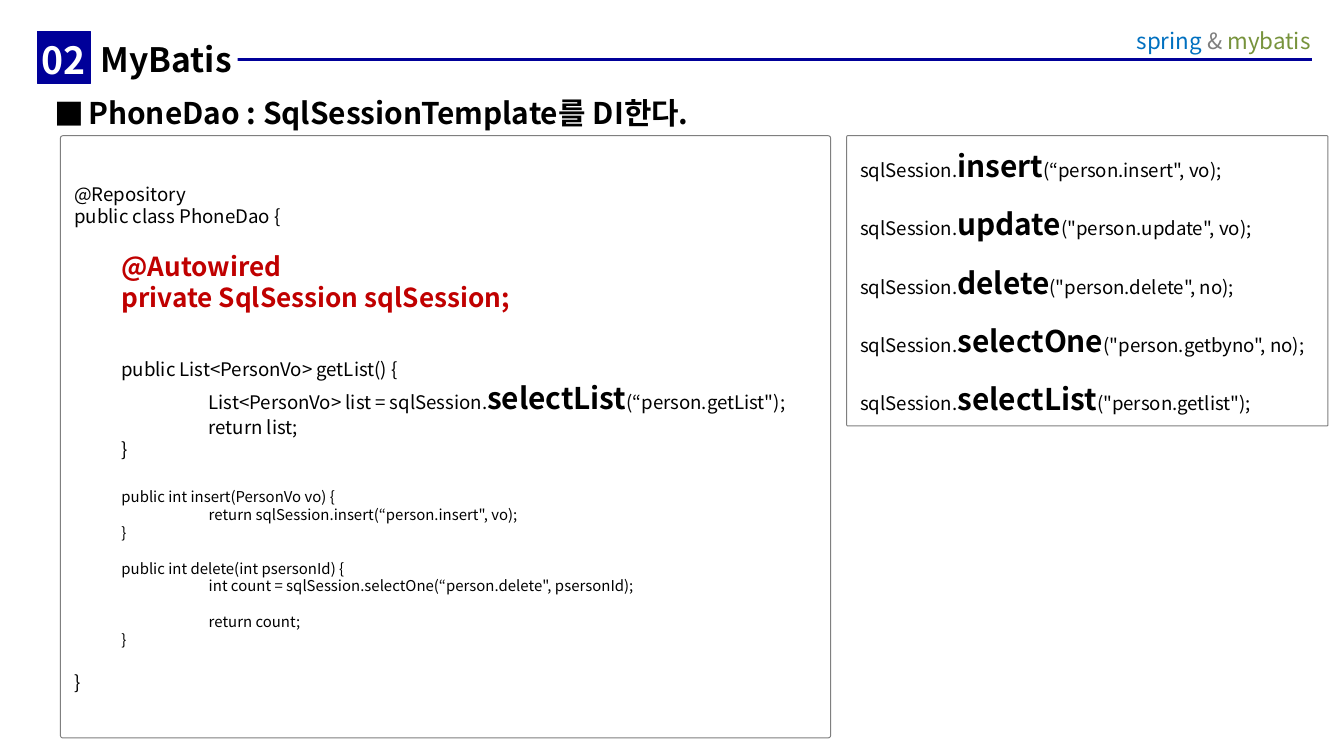
from lxml import etree
from pptx import Presentation
from pptx.dml.color import RGBColor
from pptx.enum import shapes, text
from pptx.oxml import ns
from pptx.util import Pt

FONT = "Noto Sans CJK KR"
NAVY = RGBColor(0x00, 0x00, 0x99)
BLUE = RGBColor(0x00, 0x70, 0xC0)
GREEN = RGBColor(0x77, 0x93, 0x3C)
GRAY = RGBColor(0x7F, 0x7F, 0x7F)
RED = RGBColor(0xC0, 0x00, 0x00)
BLACK = RGBColor(0, 0, 0)
WHITE = RGBColor(255, 255, 255)
LEFT, CENTER, RIGHT = text.PP_ALIGN.LEFT, text.PP_ALIGN.CENTER, text.PP_ALIGN.RIGHT
LINE_HEIGHT = 1.2


def write(paragraph, words, size=10, color=BLACK, bold=False):
    run = paragraph.add_run()
    run.text = words
    font = run.font
    font.name, font.size, font.bold = FONT, Pt(size), bold
    font.color.rgb = color
    etree.SubElement(font._element, ns.qn("a:ea"), typeface=FONT)


def add_line(frame, height=10, before=0, indent=0, align=LEFT):
    """Return the next paragraph; the first call uses the one already there."""
    first = frame.paragraphs[0]
    paragraph = frame.add_paragraph() if first.runs else first
    paragraph.alignment = align
    paragraph.line_spacing = Pt(height * LINE_HEIGHT)
    paragraph.space_before = Pt(before)
    paragraph._p.get_or_add_pPr().set("marL", str(Pt(indent)))
    return paragraph


prs = Presentation()
prs.slide_width, prs.slide_height = Pt(720), Pt(405)
slide = prs.slides.add_slide(prs.slide_layouts[6])

# Header rule
rule = slide.shapes.add_connector(shapes.MSO_CONNECTOR.STRAIGHT,
                                  Pt(702.7), Pt(31.7), Pt(51.1), Pt(31.7))
rule.line.color.rgb = NAVY
rule.line.width = Pt(1.5)
etree.SubElement(rule._element.spPr, ns.qn("a:effectLst"))

# Boxes: place, fill, outline, outline width, rounded, middle anchor, insets
RECT, ROUND = shapes.MSO_SHAPE.RECTANGLE, shapes.MSO_SHAPE.ROUNDED_RECTANGLE
frames = []
for kind, place, fill, outline, width, middle, insets in (
    (None, (598.3, 7.9, 110.9, 40.3), None, None, 0, False, (7.2, 6.7, 7.2, 5.8)),
    (RECT, (48.2, 16.6, 79.2, 28.1), WHITE, None, 0, False, (5.8, 4.4, 0, 2.9)),
    (RECT, (20.2, 16.6, 28.1, 28.1), NAVY, NAVY, 0.25, True, (0, 3, 0, 0)),
    (None, (22.3, 46.1, 691.9, 34.6), None, None, 0, False, (7.2, 4.6, 7.2, 3.6)),
    (ROUND, (32.4, 72.7, 412.6, 322.6), WHITE, GRAY, 0.5, True, (7.2, 5, 7.2, 3.6)),
    (ROUND, (453.6, 72.7, 257.8, 155.5), WHITE, GRAY, 0.5, True, (7.2, 5, 7.2, 3.6)),
):
    place = [Pt(length) for length in place]
    if kind is None:
        box = slide.shapes.add_textbox(*place)
    else:
        box = slide.shapes.add_shape(kind, *place)
        box.shadow.inherit = False
        box.fill.solid()
        box.fill.fore_color.rgb = fill
        if outline is None:
            box.line.fill.background()
        else:
            box.line.color.rgb = outline
            box.line.width = Pt(width)
        if kind == ROUND:
            box.adjustments[0] = 0.004
    frame = box.text_frame
    frame.word_wrap = True
    frame.vertical_anchor = text.MSO_ANCHOR.MIDDLE if middle else text.MSO_ANCHOR.TOP
    (frame.margin_left, frame.margin_top,
     frame.margin_right, frame.margin_bottom) = [Pt(inset) for inset in insets]
    frames.append(frame)
course, title, number, heading, dao_code, calls = frames

# Course label, chapter title and number
label = add_line(course, 12, align=RIGHT)
for words, color in (("spring ", BLUE), ("& ", GRAY), ("mybatis", GREEN)):
    write(label, words, size=12, color=color)
write(add_line(title, 18), "MyBatis", size=18, bold=True)
write(add_line(number, 20, align=CENTER), "02", size=20, color=WHITE, bold=True)

# Heading with a square bullet
topic = add_line(heading, 16, indent=18)
properties = topic._p.get_or_add_pPr()
properties.set("indent", str(-Pt(18)))
bullet_color = etree.SubElement(properties, ns.qn("a:buClr"))
etree.SubElement(bullet_color, ns.qn("a:srgbClr"), val=str(BLACK))
etree.SubElement(properties, ns.qn("a:buFont"), typeface=FONT)
etree.SubElement(properties, ns.qn("a:buChar"), char="■")
write(topic, "PhoneDao : SqlSessionTemplate를 DI한다.", size=16, bold=True)

# PhoneDao class: indent level, space before, line size, text size, code
INDENTS = (0, 25.2, 72)
for level, before, height, size, code in (
    (0, 0, 10, 10, "@Repository"),
    (0, 0, 10, 10, "public class PhoneDao {"),
    (1, 12, 14, 14, "@Autowired"),
    (1, 0, 14, 14, "private SqlSession sqlSession;"),
    (1, 24, 10, 10, "public List<PersonVo> getList() {"),
    (2, 0, 16, 10, "List<PersonVo> list = sqlSession.|selectList|(“person.getList\");"),
    (2, 0, 10, 10, "return list;"),
    (1, 0, 10, 10, "}"),
    (1, 12, 10, 8, "public int insert(PersonVo vo) {"),
    (2, 0, 8, 8, "return sqlSession.insert(“person.insert\", vo);"),
    (1, 0, 8, 8, "}"),
    (1, 9.6, 8, 8, "public int delete(int psersonId) {"),
    (2, 0, 8, 8, "int count = sqlSession.selectOne(“person.delete\", psersonId);"),
    (2, 9.6, 8, 8, "return count;"),
    (1, 0, 8, 8, "}"),
    (0, 12, 10, 10, "}"),
):
    line = add_line(dao_code, height, before, INDENTS[level])
    injected = size == 14
    for i, words in enumerate(code.split("|")):
        method = i == 1
        write(line, words, size=16 if method else size,
              color=RED if injected else BLACK, bold=injected or method)

# SqlSession calls
for i, (method, arguments) in enumerate((
    ("insert", "(“person.insert\", vo);"),
    ("update", "(\"person.update\", vo);"),
    ("delete", "(\"person.delete\", no);"),
    ("selectOne", "(\"person.getbyno\", no);"),
    ("selectList", "(\"person.getlist\");"),
)):
    line = add_line(calls, 16, before=12 if i else 0)
    write(line, "sqlSession.")
    write(line, method, size=16, bold=True)
    write(line, arguments)

prs.save("out.pptx")
